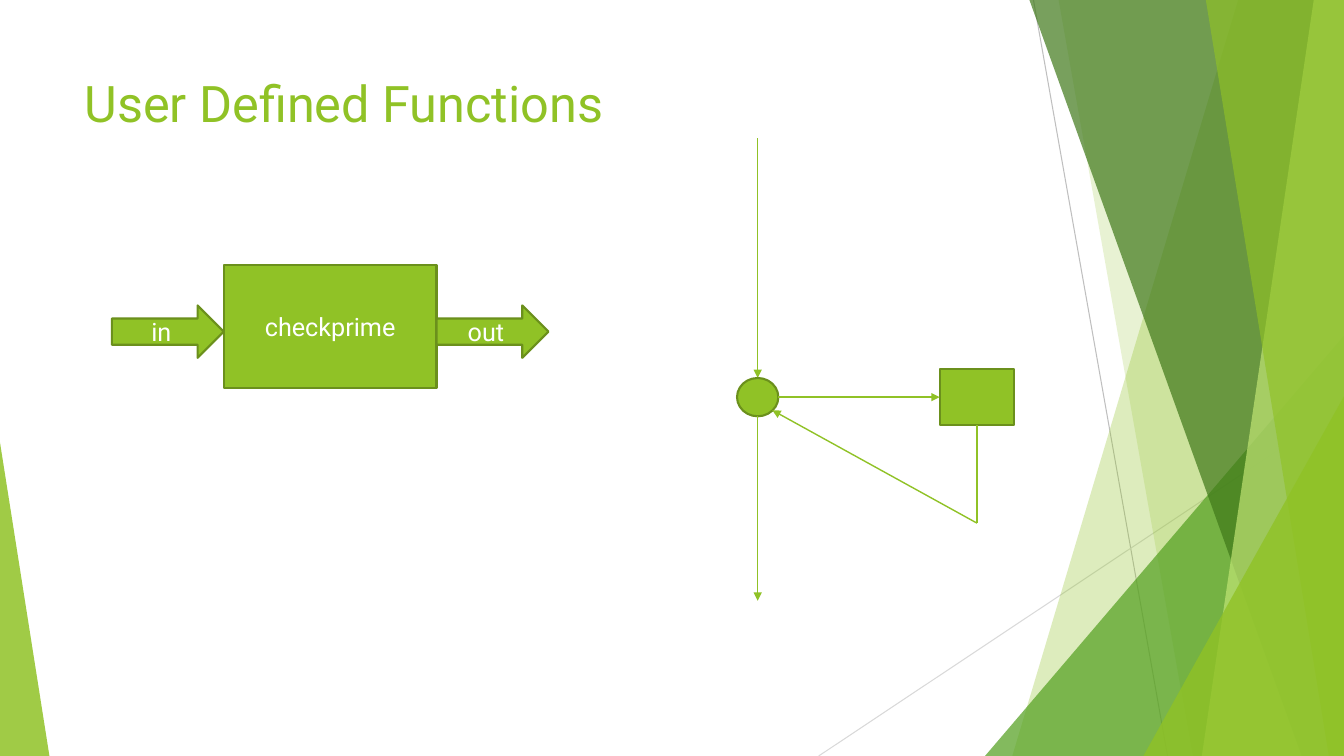
from lxml import etree
from pptx import Presentation
from pptx.dml.color import RGBColor
from pptx.enum import shapes as kinds, text as align
from pptx.oxml import ns
from pptx.util import Inches, Pt

LIME = RGBColor(0x90, 0xC2, 0x26)
OLIVE = RGBColor(0x6B, 0x90, 0x1C)
LEAF = RGBColor(0x54, 0xA0, 0x21)
FOREST = RGBColor(0x3F, 0x78, 0x19)
PALE = RGBColor(0xC0, 0xE4, 0x74)
SILVER = RGBColor(0xBF, 0xBF, 0xBF)
MIST = RGBColor(0xD9, 0xD9, 0xD9)
WHITE = RGBColor(0xFF, 0xFF, 0xFF)
FONT = "Roboto"
SHAPE = kinds.MSO_SHAPE
WIDTH, HEIGHT = 13.33, 7.5


def style_text(paragraph, size, color):
    paragraph.font.name = FONT
    paragraph.font.size = Pt(size)
    paragraph.font.color.rgb = color


def add_line(slide, start, end, color=LIME, width=1, arrow=False):
    ends = [Inches(value) for value in (*start, *end)]
    line = slide.shapes.add_connector(kinds.MSO_CONNECTOR.STRAIGHT, *ends)
    line.line.color.rgb = color
    line.line.width = Pt(width)
    if arrow:
        etree.SubElement(line.line._get_or_add_ln(), ns.qn("a:tailEnd"), type="triangle")
    etree.SubElement(line._element.spPr, ns.qn("a:effectLst"))


def add_block(slide, kind, left, top, width, height, label=""):
    block = slide.shapes.add_shape(kind, Inches(left), Inches(top), Inches(width), Inches(height))
    block.shadow.inherit = False
    block.fill.solid()
    block.fill.fore_color.rgb = LIME
    block.line.color.rgb = OLIVE
    block.line.width = Pt(1.5)
    if label:
        frame = block.text_frame
        frame.text = label
        frame.vertical_anchor = align.MSO_ANCHOR.MIDDLE
        frame.paragraphs[0].alignment = align.PP_ALIGN.CENTER
        style_text(frame.paragraphs[0], 18, WHITE)


def tint(facet, color, opacity):
    facet.shadow.inherit = False
    facet.line.fill.background()
    facet.fill.solid()
    facet.fill.fore_color.rgb = color
    color_node = facet._element.spPr.find(ns.qn("a:solidFill"))[0]
    etree.SubElement(color_node, ns.qn("a:alpha"), val=str(opacity * 1000))


def add_band(slide, right, top, bottom, upper, lower, color, opacity):
    outline = [(upper, top), (right, top), (right, bottom), (lower, bottom)]
    corners = [(Inches(x), Inches(y)) for x, y in outline]
    builder = slide.shapes.build_freeform(*corners[0])
    builder.add_line_segments(corners[1:], close=True)
    tint(builder.convert_to_shape(), color, opacity)


def add_wedge(slide, left, bottom, width, height, apex, color, opacity):
    wedge = slide.shapes.add_shape(
        SHAPE.ISOSCELES_TRIANGLE,
        Inches(left), Inches(bottom - height), Inches(width), Inches(height))
    wedge.adjustments[0] = apex
    tint(wedge, color, opacity)


def draw_backdrop(slide, left, top, width, height):
    right, bottom = left + width, top + height
    add_line(slide, (right - 3.08, top), (right - 1.75, bottom), SILVER, 0.75)
    add_line(slide, (right, top + 4.03), (right - 5.21, bottom), MIST, 0.75)

    def bands(*rows):
        for upper, lower, color, opacity in rows:
            add_band(slide, right, top, bottom, right - upper, right - lower, color, opacity)

    bands((1.05, 3.29, LIME, 30), (2.83, 1.5, LIME, 20))
    add_wedge(slide, right - 3.56, bottom, 3.56, 4.17, 1, LEAF, 72)
    bands((3.12, 0.42, FOREST, 70), (0.3, 1.41, PALE, 70), (1.37, 0.15, LIME, 65))
    add_wedge(slide, right - 1.99, bottom, 1.99, 3.57, 1, LIME, 80)
    add_wedge(slide, left, bottom, 0.49, 3.11, 0, LIME, 85)


def draw_title(slide, left, top, width, height):
    title = slide.shapes.add_textbox(Inches(left), Inches(top), Inches(width), Inches(height))
    title.text_frame.word_wrap = True
    title.text_frame.text = "User Defined Functions"
    style_text(title.text_frame.paragraphs[0], 36, LIME)


def draw_function_box(slide, left, top, width, height):
    arrow_width, arrow_height = 1.11, 0.52
    body_width = width - 2 * arrow_width
    body_left = left + arrow_width
    add_block(slide, SHAPE.RECTANGLE, body_left, top, body_width, height, "checkprime")
    for arrow_left, label in ((left, "in"), (body_left + body_width, "out")):
        add_block(slide, SHAPE.RIGHT_ARROW, arrow_left, top + 0.4,
                  arrow_width, arrow_height, label)


def draw_call_flow(slide, left, top, width, height):
    node_width, node_height = 0.41, 0.38
    callee_width, callee_height = 0.74, 0.56
    node_top = top + 2.38
    node_x = left + node_width / 2
    node_y = node_top + node_height / 2
    callee_left = left + width - callee_width
    callee_x = callee_left + callee_width / 2
    callee_bottom = node_y + callee_height / 2
    turn = (callee_x, top + 3.82)

    add_line(slide, (node_x, top), (node_x, node_top), arrow=True)
    add_block(slide, SHAPE.OVAL, left, node_top, node_width, node_height)
    add_block(slide, SHAPE.RECTANGLE, callee_left, node_y - callee_height / 2,
              callee_width, callee_height)
    add_line(slide, (left + node_width, node_y), (callee_left, node_y), arrow=True)
    add_line(slide, (callee_x, callee_bottom), turn)
    add_line(slide, turn, (left + 0.35, node_y + 0.13), arrow=True)
    add_line(slide, (node_x, node_top + node_height), (node_x, top + height), arrow=True)


deck = Presentation()
deck.slide_width = Inches(WIDTH)
deck.slide_height = Inches(HEIGHT)
slide = deck.slides.add_slide(deck.slide_layouts[6])
draw_backdrop(slide, 0, 0, WIDTH, HEIGHT)
draw_title(slide, 0.74, 0.67, 9.4, 1.44)
draw_function_box(slide, 1.11, 2.63, 4.33, 1.22)
draw_call_flow(slide, 7.31, 1.37, 2.75, 4.59)
deck.save("out.pptx")
